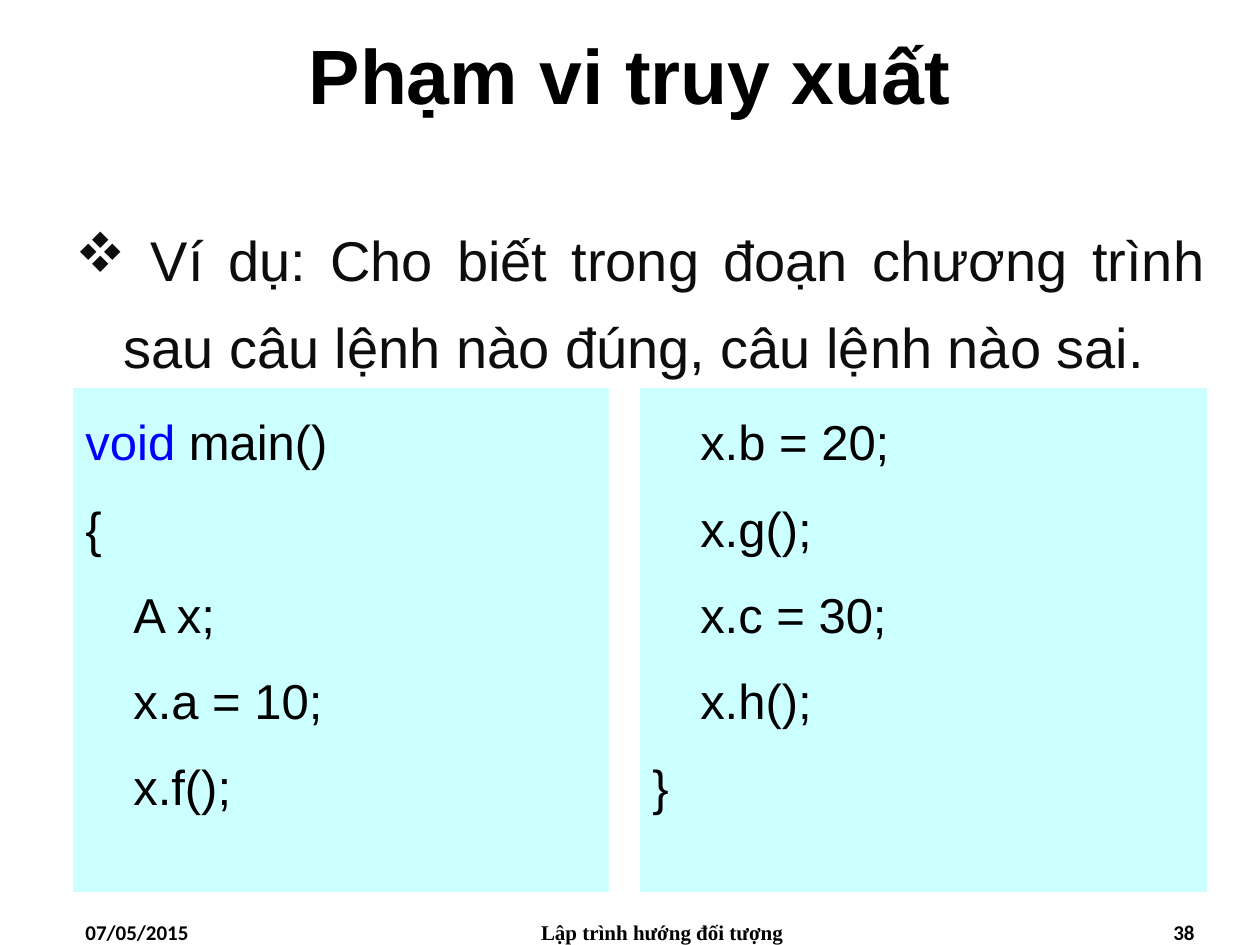
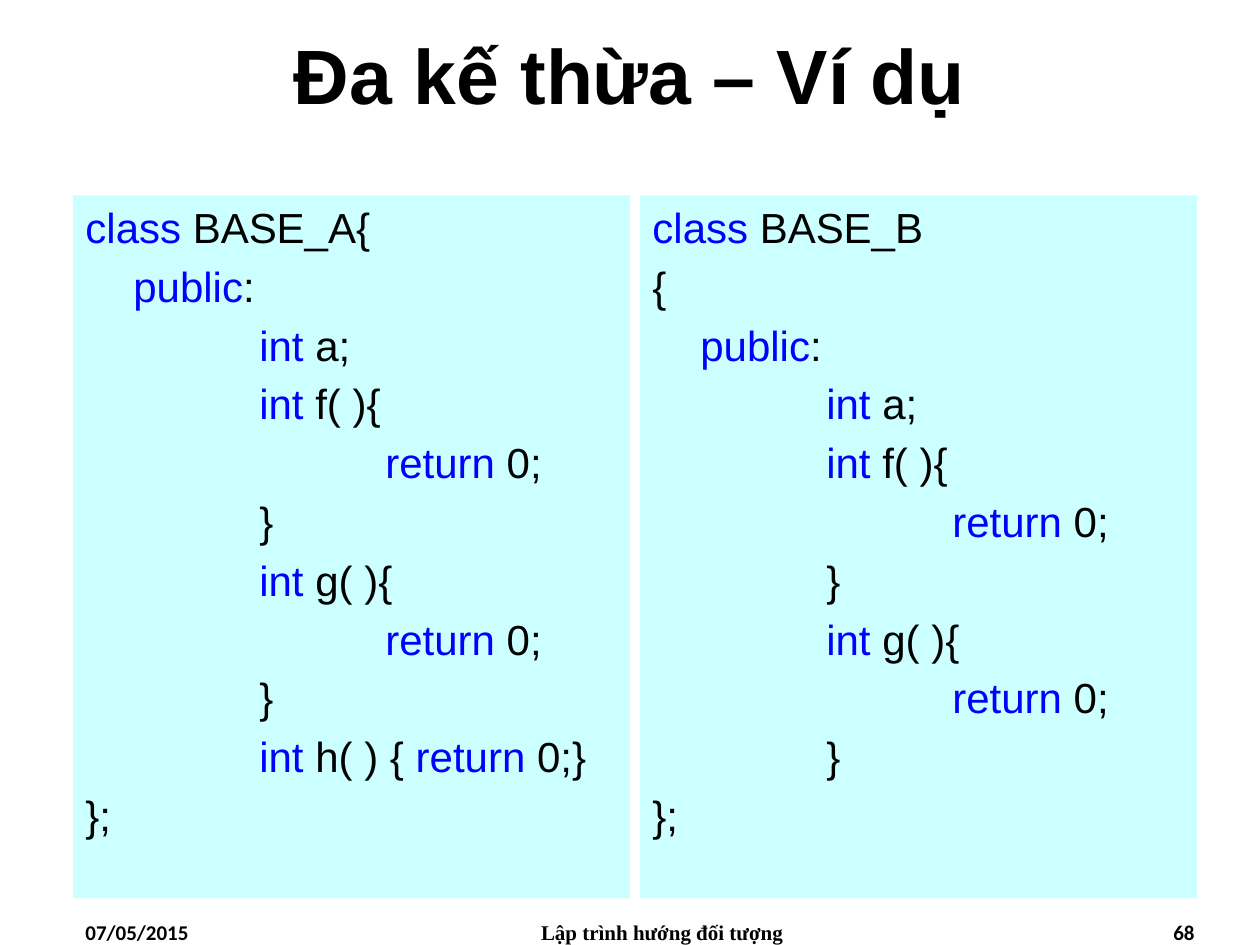
import pptx
import pptx.util
import pptx.dml.color
import pptx.enum.shapes
import pptx.enum.text
import pptx.oxml
import pptx.oxml.ns

Inches = pptx.util.Inches
Pt = pptx.util.Pt
ALIGN = pptx.enum.text.PP_ALIGN
ANCHOR = pptx.enum.text.MSO_ANCHOR

COLORS = {
    "background": "FFFFFF",
    "text": "000000",
    "body": "0D0D0D",
    "keyword": "0000FF",
    "panel": "CCFFFF",
}
HANGING = 0.38
TITLE_ONLY = 5


class LessonDeck:
    """Holds the shared style and the slide being built."""

    def __init__(self):
        self.deck = pptx.Presentation()
        self.deck.slide_width = Inches(10)
        self.deck.slide_height = Inches(7.5)
        self.page = None

    @staticmethod
    def color(name):
        return pptx.dml.color.RGBColor.from_string(COLORS[name])

    @staticmethod
    def assign(target, values):
        for name, value in values.items():
            setattr(target, name, value)

    def add_span(self, para, text, size, color="text", font="Arial", bold=False):
        span = para.add_run()
        span.text = text
        self.assign(span.font, {"size": Pt(size), "name": font, "bold": bold})
        span.font.color.rgb = self.color(color)

    def prepare_frame(self, box, anchor=ANCHOR.TOP):
        frame = box.text_frame
        self.assign(frame, {
            "word_wrap": True,
            "auto_size": pptx.enum.text.MSO_AUTO_SIZE.NONE,
            "vertical_anchor": anchor,
        })
        return frame

    def set_hanging(self, para):
        """Hang the first line and put a tab stop at every inch."""
        properties = para._p.get_or_add_pPr()
        properties.set("marL", str(Inches(HANGING)))
        properties.set("indent", str(-Inches(HANGING)))
        properties.set("defTabSz", str(Inches(1)))
        return properties

    def add_text_box(self, left, top, width, height):
        box = self.page.shapes.add_textbox(
            Inches(left), Inches(top), Inches(width), Inches(height))
        return self.prepare_frame(box).paragraphs[0]

    def add_page(self, title, number):
        self.page = self.deck.slides.add_slide(self.deck.slide_layouts[TITLE_ONLY])
        fill = self.page.background.fill
        fill.solid()
        fill.fore_color.rgb = self.color("background")
        # Title
        box = self.page.shapes.title
        self.assign(box, {"left": 0, "top": 0, "width": Inches(10),
                          "height": Inches(1.17)})
        para = self.prepare_frame(box, ANCHOR.MIDDLE).paragraphs[0]
        para.alignment = ALIGN.CENTER
        self.add_span(para, title, 44, bold=True)
        # Footer
        footers = [
            (0.58, 2.33, "07/05/2015", "Calibri", ALIGN.LEFT),
            (3.67, 3.17, "Lập trình hướng đối tượng", "Times New Roman", ALIGN.CENTER),
            (7.25, 2.33, str(number), "Calibri", ALIGN.RIGHT),
        ]
        for left, width, text, font, alignment in footers:
            para = self.add_text_box(left, 7.25, width, 0.25)
            para.alignment = alignment
            self.add_span(para, text, 12, font=font, bold=True)

    def add_bullet(self, left, top, width, height, text):
        para = self.add_text_box(left, top, width, height)
        self.assign(para, {"alignment": ALIGN.JUSTIFY, "line_spacing": 1.3,
                           "space_before": Pt(3), "space_after": Pt(3)})
        properties = self.set_hanging(para)
        # The letter v in Wingdings is the four-diamond bullet
        for tag in ('buFont {} typeface="Wingdings" charset="2"', 'buChar {} char="v"'):
            element = tag.format(pptx.oxml.ns.nsdecls("a"))
            properties.append(pptx.oxml.parse_xml(f"<a:{element}/>"))
        self.add_span(para, text, 32, "body")

    def add_code(self, left, top, width, height, lines, size, spacing=1.0):
        """Draw a code panel; words between backticks are keywords."""
        panel = self.page.shapes.add_shape(
            pptx.enum.shapes.MSO_SHAPE.RECTANGLE,
            Inches(left), Inches(top), Inches(width), Inches(height))
        panel.shadow.inherit = False
        panel.fill.solid()
        panel.fill.fore_color.rgb = self.color("panel")
        panel.line.fill.background()
        frame = self.prepare_frame(panel)
        for index, line in enumerate(lines):
            para = frame.add_paragraph() if index else frame.paragraphs[0]
            self.assign(para, {"alignment": ALIGN.LEFT, "line_spacing": spacing,
                               "space_before": Pt(size * 0.2)})
            self.set_hanging(para)
            for position, part in enumerate(line.split("`")):
                if part:
                    color = "keyword" if position % 2 else "text"
                    self.add_span(para, part, size, color)


def method(name):
    return [f"\t\t`int` {name}( ){{", "\t\t\t`return` 0;", "\t\t}"]


def main():
    lesson = LessonDeck()
    left, right = 0.58, 5.08

    # Access scope exercise
    lesson.add_page("Phạm vi truy xuất", 38)
    main_start = ["`void` main()", "{", "\tA x;", "\tx.a = 10;", "\tx.f();"]
    main_end = ["\tx.b = 20;", "\tx.g();", "\tx.c = 30;", "\tx.h();", "}"]
    lesson.add_code(left, 3.08, 4.25, 4, main_start, 28, 1.3)
    lesson.add_bullet(0.5, 1.58, 9.17, 5.39,
                      " Ví dụ: Cho biết trong đoạn chương trình sau "
                      "câu lệnh nào đúng, câu lệnh nào sai.")
    lesson.add_code(right, 3.08, 4.5, 4, main_end, 28, 1.3)

    # Multiple inheritance example
    lesson.add_page("Đa kế thừa – Ví dụ", 68)
    members = ["\t`public`:", "\t\t`int` a;", *method("f"), *method("g")]
    base_a = ["`class` BASE_A{", *members, "\t\t`int` h( ) { `return` 0;}", "};"]
    base_b = ["`class` BASE_B", "{", *members, "};"]
    for column, code in ((left, base_a), (right, base_b)):
        lesson.add_code(column, 1.55, 4.42, 5.58, code, 24)

    lesson.deck.save("out.pptx")


if __name__ == "__main__":
    main()
